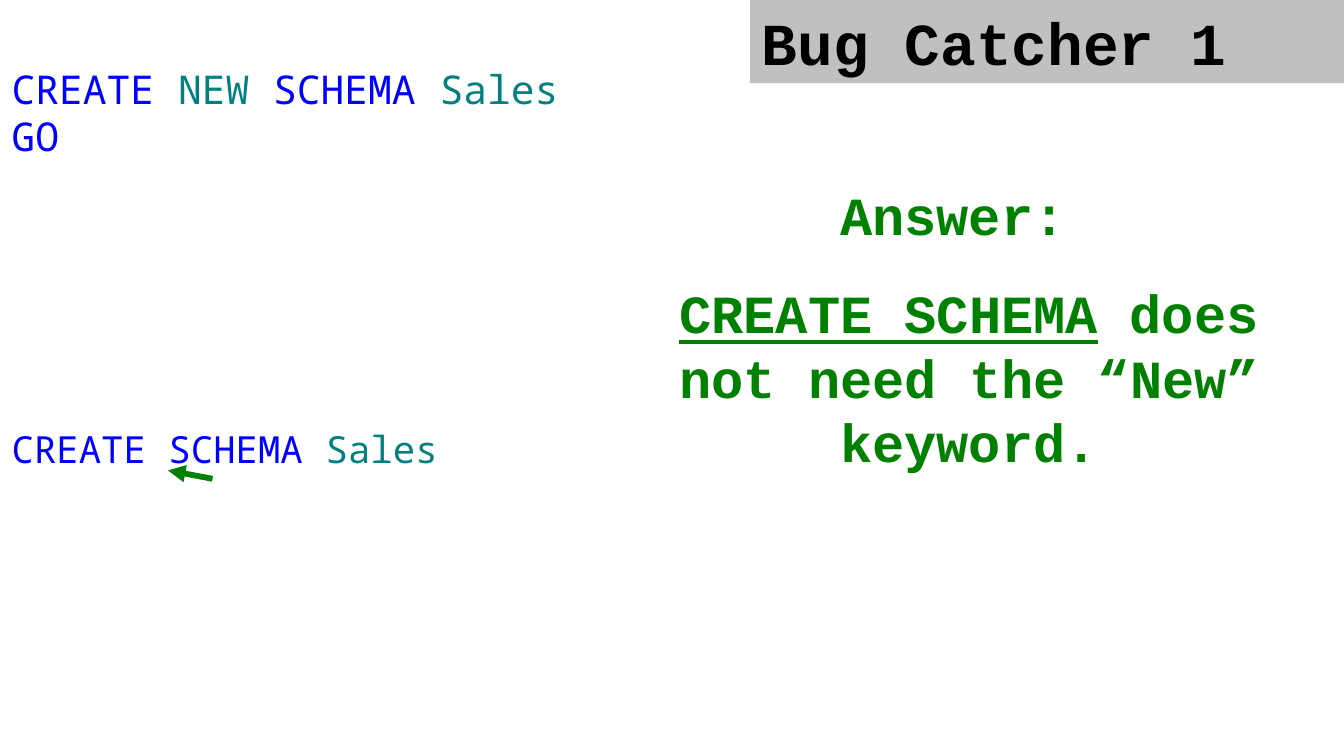
from pptx import Presentation
from pptx.dml.color import RGBColor
from pptx.enum.shapes import MSO_CONNECTOR
from pptx.enum.text import MSO_ANCHOR, MSO_AUTO_SIZE, PP_ALIGN
from pptx.oxml.ns import qn
from pptx.util import Pt
from lxml import etree

STRAIGHT = MSO_CONNECTOR.STRAIGHT
TOP = MSO_ANCHOR.TOP
NO_FIT = MSO_AUTO_SIZE.NONE
LEFT, CENTER = PP_ALIGN.LEFT, PP_ALIGN.CENTER

BLUE, TEAL, GREEN, BLACK, GREY = "0000FF", "008080", "008000", "000000", "C0C0C0"
CODE_FONT, SPEECH_FONT = "Noto Sans Mono", "Courier New"

HEADING = [[("Bug Catcher 1", BLACK, False)]]
BUGGY_CODE = [
    [("CREATE ", BLUE, False), ("NEW ", TEAL, False),
     ("SCHEMA ", BLUE, False), ("Sales", TEAL, False)],
    [("GO", BLUE, False)],
]
ANSWER = [
    [("Answer: ", GREEN, False)],
    [("CREATE SCHEMA", GREEN, True),
     (" does not need the “New” keyword.", GREEN, False)],
]
FIXED_CODE = [[("CREATE SCHEMA ", BLUE, False), ("Sales", TEAL, False)]]

HEADING_BOX = (643, 0, 509, 71.3)
BUGGY_BOX = (0, 50.4, 1152, 132.5)
ANSWER_BOX = (547.2, 151.2, 566.6, 260)
FIXED_BOX = (0, 360, 1132.6, 87)
ARROW = (182.2, 410.4, 144, 403.2)


def color(value):
    return RGBColor.from_string(value)


def write(shape, lines, font, size, bold=False, align=LEFT, gap=0):
    frame = shape.text_frame
    frame.word_wrap = True
    frame.auto_size = NO_FIT
    frame.vertical_anchor = TOP
    frame.margin_left = frame.margin_right = Pt(10)
    frame.margin_top = frame.margin_bottom = Pt(5)
    for index, pieces in enumerate(lines):
        paragraph = frame.add_paragraph() if index else frame.paragraphs[0]
        paragraph.alignment = align
        paragraph.space_before = Pt(gap if index else 0)
        for text, ink, underline in pieces:
            run = paragraph.add_run()
            run.text = text
            run.font.name = font
            run.font.size = Pt(size)
            run.font.bold = bold
            run.font.underline = underline
            run.font.color.rgb = color(ink)


def main():
    deck = Presentation()
    deck.slide_width, deck.slide_height = Pt(1152), Pt(648)
    slide = deck.slides.add_slide(deck.slide_layouts[5])
    shapes = slide.shapes

    heading = shapes.title
    heading.left, heading.top, heading.width, heading.height = map(Pt, HEADING_BOX)
    heading.fill.solid()
    heading.fill.fore_color.rgb = color(GREY)
    write(heading, HEADING, SPEECH_FONT, 51, bold=True)

    write(shapes.add_textbox(*map(Pt, BUGGY_BOX)), BUGGY_CODE, CODE_FONT, 34)
    write(shapes.add_textbox(*map(Pt, ANSWER_BOX)), ANSWER, SPEECH_FONT, 46,
          bold=True, align=CENTER, gap=28.7)
    write(shapes.add_textbox(*map(Pt, FIXED_BOX)), FIXED_CODE, CODE_FONT, 32)

    arrow = shapes.add_connector(STRAIGHT, *map(Pt, ARROW))
    arrow.line.color.rgb = color(GREEN)
    arrow.line.width = Pt(5)
    etree.SubElement(arrow.line._get_or_add_ln(), qn("a:tailEnd"), type="triangle")
    etree.SubElement(arrow._element.spPr, qn("a:effectLst"))

    deck.save("out.pptx")


if __name__ == "__main__":
    main()
